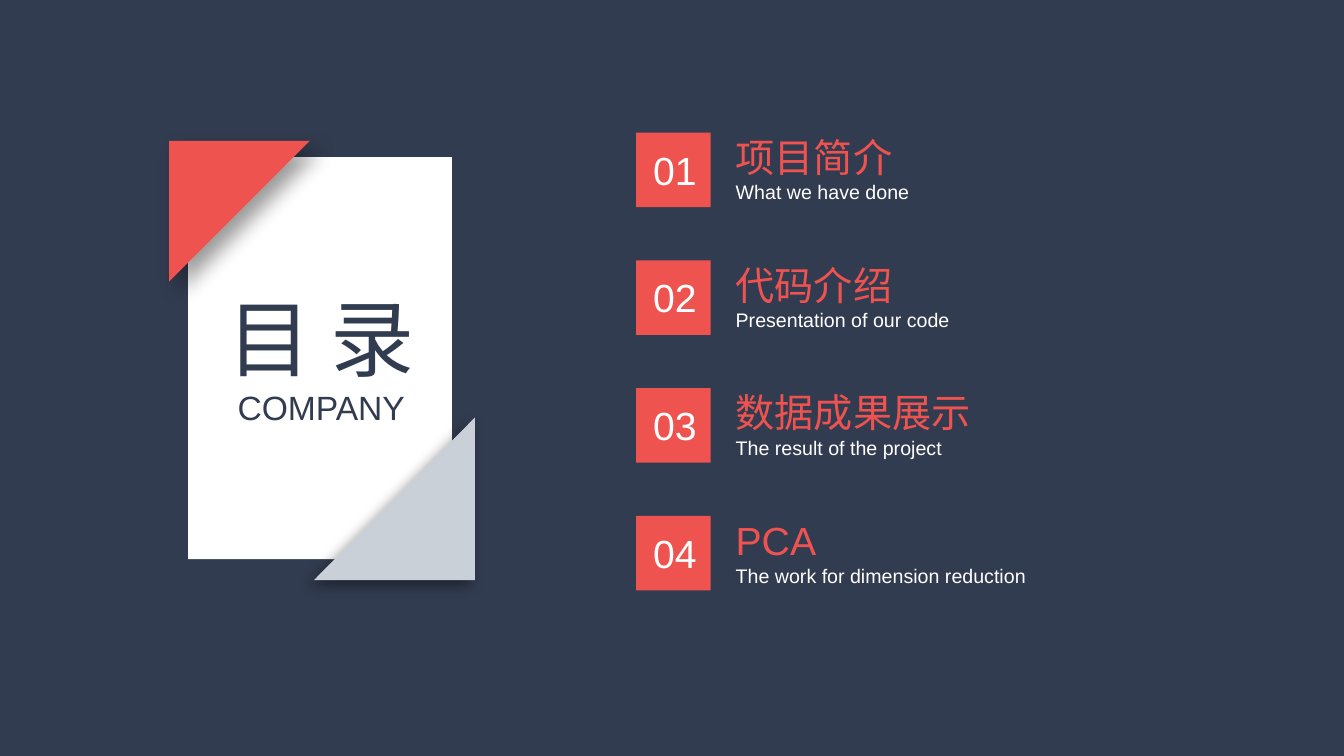
from lxml import etree
from pptx import Presentation
from pptx.dml.color import RGBColor
from pptx.enum import shapes, text
from pptx.oxml import ns
from pptx.util import Cm, Pt

NAVY, RED, GREY, WHITE = "323C50", "EF5350", "CAD0D8", "FFFFFF"
FONT = "Arial"

TITLE_LINES = [("目 录", 60), ("COMPANY", 24)]
CHAPTERS = [
    ("项目简介", "What we have done"),
    ("代码介绍", "Presentation of our code"),
    ("数据成果展示", "The result of the project"),
    ("PCA", "The work for dimension reduction"),
]

# Chapter list geometry, in cm
LIST_LEFT, LIST_TOP, PITCH, BADGE = 16.03, 3.34, 3.22, 1.88
TEXT_LEFT = 18.29


def rgb(value):
    return RGBColor.from_string(value)


def place(left, top, width, height):
    return [Cm(value) for value in (left, top, width, height)]


def add_block(kind, box, color):
    block = slide.shapes.add_shape(kind, *place(*box))
    block.shadow.inherit = False
    block.fill.solid()
    block.fill.fore_color.rgb = rgb(color)
    block.line.fill.background()
    return block


def add_corner(box, color, rotation, blur, distance, angle):
    corner = add_block(shapes.MSO_SHAPE.RIGHT_TRIANGLE, box, color)
    corner.rotation = rotation
    properties = corner._element.spPr
    properties.find(ns.qn("a:xfrm")).set("flipV", "1")
    effects = properties.find(ns.qn("a:effectLst"))
    shadow = etree.SubElement(
        effects, ns.qn("a:outerShdw"), blurRad=str(Pt(blur)),
        dist=str(Pt(distance)), dir=str(angle * 60000), rotWithShape="0")
    shade = etree.SubElement(shadow, ns.qn("a:srgbClr"), val="000000")
    etree.SubElement(shade, ns.qn("a:alpha"), val="40000")


def write(frame, lines, color, align, wrap=False):
    layout = {"word_wrap": wrap, "vertical_anchor": text.MSO_ANCHOR.TOP,
              "auto_size": text.MSO_AUTO_SIZE.SHAPE_TO_FIT_TEXT}
    for name, value in layout.items():
        setattr(frame, name, value)
    for index, (words, size) in enumerate(lines):
        paragraph = frame.add_paragraph() if index else frame.paragraphs[0]
        paragraph.alignment = align
        run = paragraph.add_run()
        run.text = words
        for name, value in {"name": FONT, "size": Pt(size)}.items():
            setattr(run.font, name, value)
        run.font.color.rgb = rgb(color)


def add_label(box, words, size, color, wrap=False):
    label = slide.shapes.add_textbox(*place(*box))
    write(label.text_frame, [(words, size)], color, text.PP_ALIGN.LEFT, wrap)


deck = Presentation()
deck.slide_width, deck.slide_height = Cm(33.87), Cm(19.05)
slide = deck.slides.add_slide(deck.slide_layouts[5])
slide.background.fill.solid()
slide.background.fill.fore_color.rgb = rgb(NAVY)

# Title card with its folded corner
add_block(shapes.MSO_SHAPE.RECTANGLE, (4.74, 3.96, 6.65, 10.13), WHITE)
add_corner((4.26, 3.55, 3.55, 3.55), RED, 0, 15, 10, 45)

# Title, raised above the card
title = slide.shapes.title
title.left, title.top, title.width, title.height = place(5.39, 7.09, 5.41, 3.84)
write(title.text_frame, TITLE_LINES, NAVY, text.PP_ALIGN.CENTER)
slide.shapes._spTree.append(title._element)

# Numbered chapters
for index, (heading, summary) in enumerate(CHAPTERS):
    top = LIST_TOP + index * PITCH
    add_block(shapes.MSO_SHAPE.RECTANGLE, (LIST_LEFT, top, BADGE, BADGE), RED)
    add_label((LIST_LEFT + 0.18, top + 0.21, 1.63, 1.45), f"{index + 1:02}", 28, WHITE)
    add_label((TEXT_LEFT, top + 1.08, 7.85, 0.86), summary, 14, WHITE, wrap=True)
    add_label((TEXT_LEFT, top - 0.11, 7.49, 1.45), heading, 28, RED, wrap=True)

# Lower corner
add_corner((7.91, 10.52, 4.06, 4.1), GREY, 180, 10, 5, 135)

deck.save("out.pptx")
